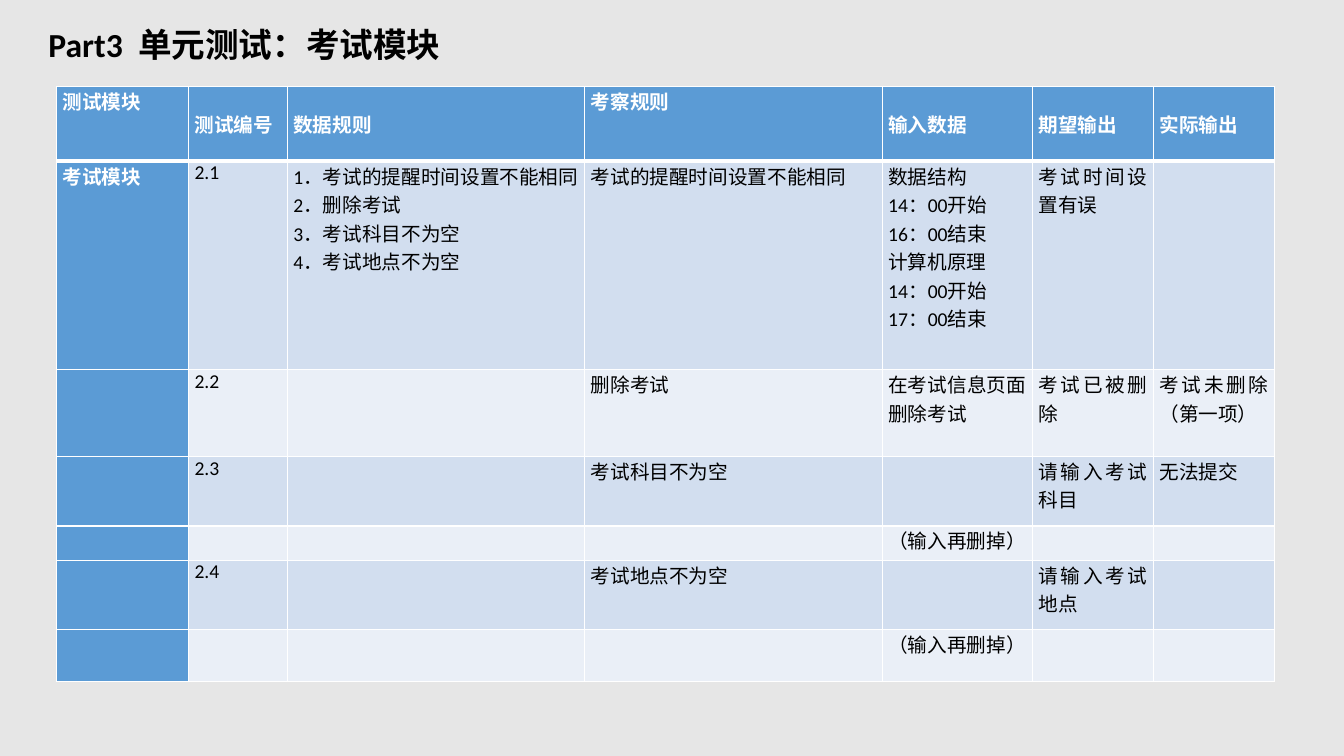
from pptx import Presentation
from pptx.dml.color import RGBColor
from pptx.enum.text import MSO_ANCHOR as Anchor, PP_ALIGN as Align
from pptx.oxml.ns import qn
from pptx.util import Inches, Pt
from lxml.etree import SubElement

TITLE = "Part3  单元测试：考试模块"
HEADERS = ["测试模块", "测试编号", "数据规则", "考察规则", "输入数据", "期望输出", "实际输出"]
DATA_RULES = "1．考试的提醒时间设置不能相同\n2．删除考试\n3．考试科目不为空\n4．考试地点不为空"
EXAM_TIMES = "数据结构\n14：00开始\n16：00结束\n计算机原理\n14：00开始\n17：00结束"
RETYPED = ["", "", "", "", "（输入再删掉）", "", ""]
TESTS = [
    ["考试模块", "2.1", DATA_RULES, "考试的提醒时间设置不能相同", EXAM_TIMES, "考试时间设置有误", ""],
    ["", "2.2", "", "删除考试", "在考试信息页面删除考试", "考试已被删除", "考试未删除（第一项）"],
    ["", "2.3", "", "考试科目不为空", "", "请输入考试科目", "无法提交"],
    RETYPED,
    ["", "2.4", "", "考试地点不为空", "", "请输入考试地点", ""],
    RETYPED,
]
COLUMN_WIDTHS = [1.31, 0.98, 2.95, 2.95, 1.49, 1.2, 1.2]
ROW_HEIGHTS = [0.74, 2.07, 0.86, 0.69, 0.34, 0.69, 0.51]
TOP_HEADERS = ("测试模块", "考察规则")
LEFT_HEADERS = ("测试模块", "测试编号")

BACKGROUND, BLACK, WHITE = "E6E6E6", "000000", "FFFFFF"
BLUE, BANDS = "5B9BD5", ("EAEFF7", "D2DEEF")
CELL_MARGINS = {"margin_left": 0.06, "margin_right": 0.06, "margin_top": 0, "margin_bottom": 0}


def paint(fill, color):
    fill.solid()
    fill.fore_color.rgb = RGBColor.from_string(color)


def style_text(paragraph, size, color, bold, align):
    paragraph.alignment = align
    for run in paragraph.runs:
        for name, value in {"name": "Calibri", "size": Pt(size), "bold": bold}.items():
            setattr(run.font, name, value)
        run.font.color.rgb = RGBColor.from_string(color)


def add_borders(cell, widths):
    """Draw white cell borders; widths maps a side (L, R, T, B) to points."""
    properties = cell._tc.get_or_add_tcPr()
    for side, width in widths.items():
        line = SubElement(properties, qn(f"a:ln{side}"), w=str(Pt(width)))
        solid = SubElement(line, qn("a:solidFill"))
        SubElement(solid, qn("a:srgbClr"), val=WHITE)


def fill_cell(cell, text, row, column):
    is_header = row == 0
    is_label = is_header or column == 0
    add_borders(cell, {"L": 1, "R": 1, "T": 3 if row == 1 else 1, "B": 3 if is_header else 1})
    paint(cell.fill, BLUE if is_label else BANDS[row % 2])
    for name, value in CELL_MARGINS.items():
        setattr(cell, name, Inches(value))
    centred = is_header and text not in TOP_HEADERS
    cell.vertical_anchor = Anchor.MIDDLE if centred else Anchor.TOP
    if text:
        cell.text = text
        align = Align.LEFT if text in LEFT_HEADERS else Align.JUSTIFY
        for paragraph in cell.text_frame.paragraphs:
            style_text(paragraph, 14, WHITE if is_label else BLACK, is_label, align)


def main():
    deck = Presentation()
    deck.slide_width, deck.slide_height = Inches(13.33), Inches(7.5)
    slide = deck.slides.add_slide(deck.slide_layouts[5])
    paint(slide.background.fill, BACKGROUND)

    title = slide.shapes.title
    for name, value in {"left": 0.38, "top": 0.18, "width": 11.95, "height": 0.51}.items():
        setattr(title, name, Inches(value))
    title.text_frame.text = TITLE
    title.text_frame.vertical_anchor = Anchor.MIDDLE
    style_text(title.text_frame.paragraphs[0], 24, BLACK, True, Align.LEFT)

    rows = [HEADERS, *TESTS]
    table = slide.shapes.add_table(
        len(rows), len(HEADERS), Inches(0.56), Inches(0.86),
        Inches(sum(COLUMN_WIDTHS)), Inches(sum(ROW_HEIGHTS))).table
    table.first_col = True
    for column, width in zip(table.columns, COLUMN_WIDTHS):
        column.width = Inches(width)
    for row, height in zip(table.rows, ROW_HEIGHTS):
        row.height = Inches(height)
    for r, texts in enumerate(rows):
        for c, text in enumerate(texts):
            fill_cell(table.cell(r, c), text, r, c)

    deck.save("out.pptx")


if __name__ == "__main__":
    main()
